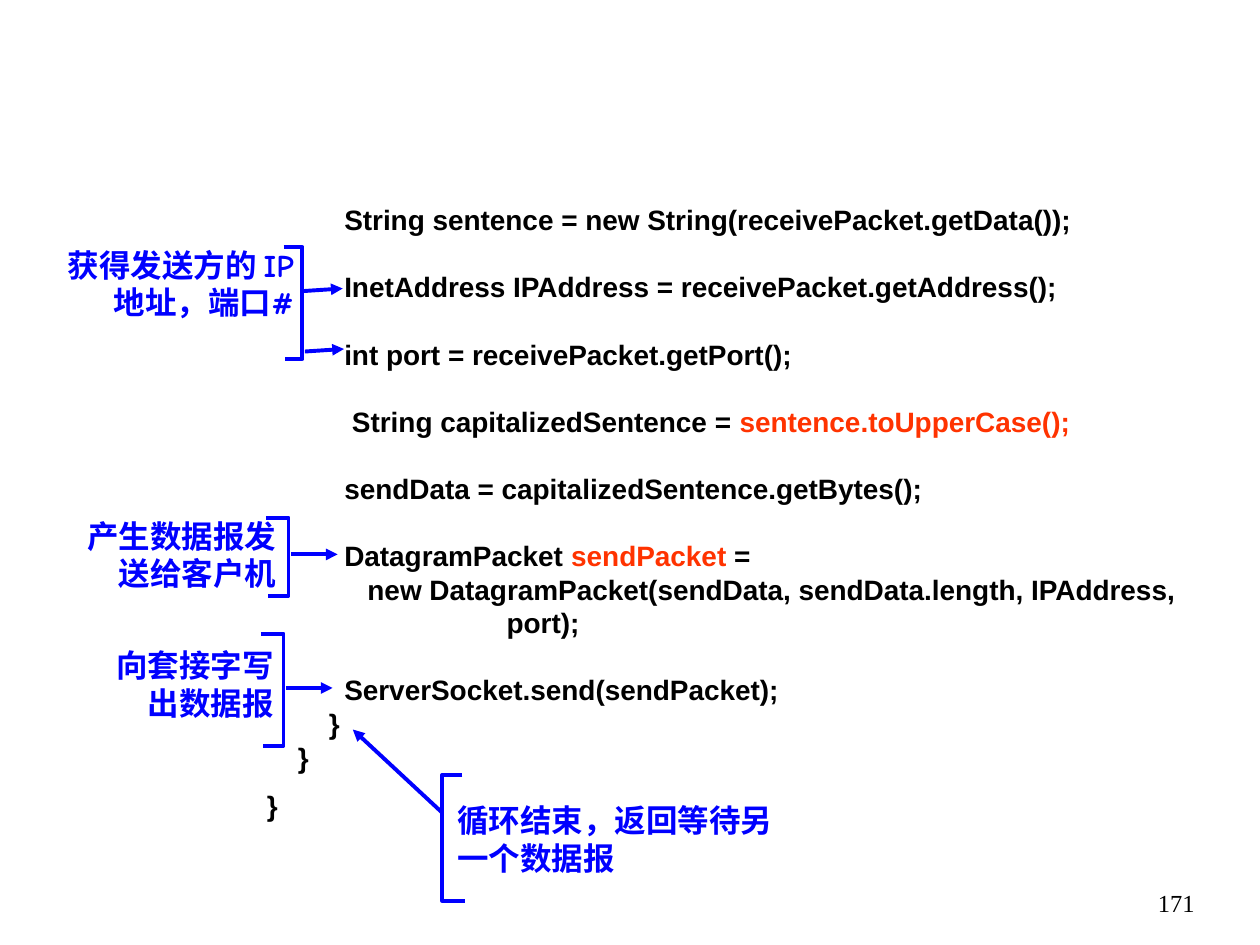
import pptx
import pptx.util
import pptx.dml.color
import pptx.enum.text
from lxml import etree
from pptx.oxml.ns import qn

Inches, Pt = pptx.util.Inches, pptx.util.Pt
RGB = pptx.dml.color.RGBColor.from_string
ALIGN = pptx.enum.text.PP_ALIGN
ANCHOR = pptx.enum.text.MSO_ANCHOR

THEME = {
    "ink": "000000", "note": "0000FF", "hot": "FF3300",
    "code": ("Arial", 16), "label": ("Comic Neue", 18),
    "page": ("Times New Roman", 14),
    "line": 2.25, "pitch": 19.2,
}

# Code lines: space before in lines, then plain and highlighted text by turns
CODE = [
    (0, "          String sentence = new String(receivePacket.getData());"),
    (1, "          InetAddress IPAddress = receivePacket.getAddress();"),
    (1, "          int port = receivePacket.getPort();"),
    (1, "           String capitalizedSentence = ", "sentence.toUpperCase();"),
    (1, "          sendData = capitalizedSentence.getBytes();"),
    (1, "          DatagramPacket ", "sendPacket", " ="),
    (0, "             new DatagramPacket(sendData, sendData.length, IPAddress,"),
    (0, "                               port);"),
    (1, "          ServerSocket.send(sendPacket);"),
    (0, "        }"),
    (0, "    }"),
    (0.43, "}"),
]

# Notes: text, box, alignment, bracket (top end, spine x, bottom end), arrows
NOTES = [
    ("获得发送方的 IP 地址，端口#", (0.14, 1.9, 2.29, 0.7), ALIGN.RIGHT,
     ((2.25, 1.96), 2.4, (2.26, 2.85)),
     [((2.41, 2.31), (2.72, 2.29)), ((2.42, 2.79), (2.73, 2.77))]),
    ("产生数据报发送给客户机", (0.41, 4.05, 1.88, 0.7), ALIGN.RIGHT,
     ((2.11, 4.11), 2.29, (2.13, 4.73)),
     [((2.31, 4.4), (2.68, 4.4))]),
    ("向套接字写出数据报", (0.72, 5.08, 1.55, 0.7), ALIGN.RIGHT,
     ((2.07, 5.03), 2.25, (2.09, 5.92)),
     [((2.27, 5.46), (2.64, 5.46))]),
    ("循环结束，返回等待另一个数据报", (3.53, 6.31, 2.9, 0.7), ALIGN.LEFT,
     ((3.67, 6.15), 3.51, (3.69, 7.15)),
     [((3.51, 6.45), (2.8, 5.79))]),
]


def style(para, kind, color, bold=True):
    font = para.font
    font.name, size = THEME[kind]
    font.size = Pt(size)
    font.bold = bold
    font.color.rgb = RGB(THEME[color])


def add_box(slide, box, anchor=ANCHOR.TOP):
    frame = slide.shapes.add_textbox(*map(Inches, box)).text_frame
    frame.word_wrap = True
    frame.vertical_anchor = anchor
    return frame


def add_label(slide, text, box, align, kind, color, bold, anchor):
    para = add_box(slide, box, anchor).paragraphs[0]
    para.text = text
    para.alignment = align
    style(para, kind, color, bold)


def ink_line(shape):
    shape.line.color.rgb = RGB(THEME["note"])
    shape.line.width = Pt(THEME["line"])


def add_code(slide, box):
    frame = add_box(slide, box)
    for i, (gap, *parts) in enumerate(CODE):
        para = frame.add_paragraph() if i else frame.paragraphs[0]
        para.line_spacing = Pt(THEME["pitch"])
        para.space_before = Pt(round(gap * THEME["pitch"], 1))
        style(para, "code", "ink")
        for j, part in enumerate(parts):
            run = para.add_run()
            run.text = part
            if j % 2:
                run.font.color.rgb = RGB(THEME["hot"])


def add_bracket(slide, top, spine, end):
    start, *rest = [tuple(map(Inches, point)) for point in
                    (top, (spine, top[1]), (spine, end[1]), end)]
    pen = slide.shapes.build_freeform(*start)
    pen.add_line_segments(rest, close=False)
    shape = pen.convert_to_shape()
    shape.shadow.inherit = False
    shape.fill.background()
    ink_line(shape)


def add_arrow(slide, start, end):
    arrow = slide.shapes.add_connector(1, *map(Inches, start + end))
    ink_line(arrow)
    props = arrow.line._get_or_add_ln()
    etree.SubElement(props, qn("a:tailEnd"), type="triangle")
    etree.SubElement(arrow._element.spPr, qn("a:effectLst"))


def main():
    deck = pptx.Presentation()
    deck.slide_width, deck.slide_height = Inches(10), Inches(7.5)
    slide = deck.slides.add_slide(deck.slide_layouts[6])

    # Page number and program
    add_label(slide, "171", (9.08, 7, 0.5, 0.5), ALIGN.RIGHT,
              "page", "ink", False, ANCHOR.TOP)
    add_code(slide, (2.02, 1.56, 7.52, 5.03))

    # Notes with brackets and arrows
    for text, box, align, bracket, arrows in NOTES:
        add_label(slide, text, box, align, "label", "note", True, ANCHOR.MIDDLE)
        add_bracket(slide, *bracket)
        for start, end in arrows:
            add_arrow(slide, start, end)

    deck.save("out.pptx")


if __name__ == "__main__":
    main()
